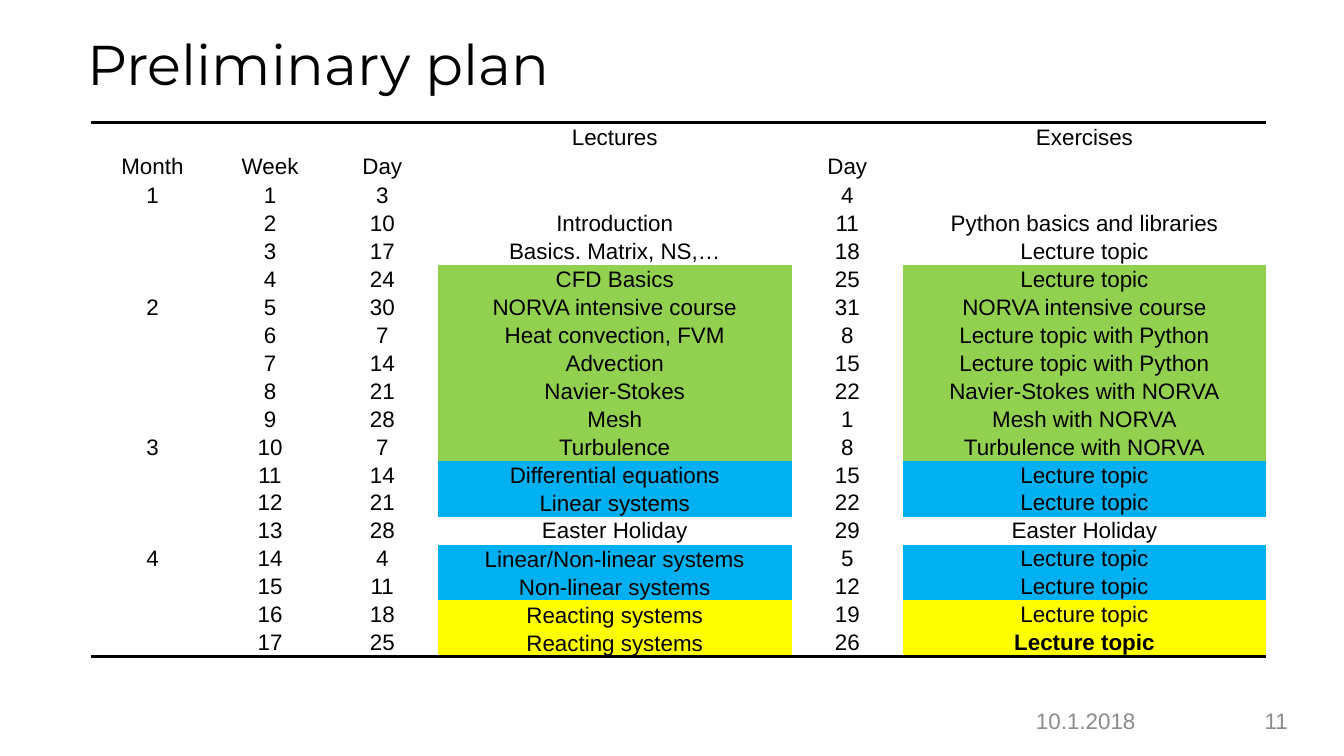
from lxml.etree import SubElement
from pptx import Presentation
from pptx.dml.color import RGBColor
from pptx.enum.text import MSO_ANCHOR, PP_ALIGN
from pptx.oxml import parse_xml
from pptx.oxml.ns import nsdecls, qn
from pptx.util import Inches, Pt

GREEN, BLUE, YELLOW, WHITE = "92D050", "00B0F0", "FFFF00", "FFFFFF"


def rgb(color):
    return RGBColor.from_string(color)


def put_text(tf, text, size=12, font="Arial", color="000000", bold=False,
             align=PP_ALIGN.LEFT):
    p = tf.paragraphs[0]
    p.alignment = align
    if not text:
        # An empty cell still needs the small size, or its row grows
        SubElement(p._p, qn("a:endParaRPr"), sz=str(size * 100))
        return
    r = p.add_run()
    r.text = text
    r.font.size = Pt(size)
    r.font.name = font
    r.font.bold = bold
    r.font.color.rgb = rgb(color)


# Widescreen slide, 16:9
prs = Presentation()
prs.slide_width = Inches(10)
prs.slide_height = Inches(10) * 9 // 16
s = prs.slides.add_slide(prs.slide_layouts[5])

# Title
title = s.shapes.title
title.left, title.top = Inches(0.55), Inches(0)
title.width, title.height = Inches(9), Inches(0.94)
title.text_frame.vertical_anchor = MSO_ANCHOR.MIDDLE
put_text(title.text_frame, "Preliminary plan", size=30, font="Montserrat")

# Date and slide number
for left, width, text, align in [(7.61, 1.15, "10.1.2018", PP_ALIGN.LEFT),
                                 (8.94, 0.74, "11", PP_ALIGN.RIGHT)]:
    tf = s.shapes.add_textbox(Inches(left), Inches(5.21),
                              Inches(width), Inches(0.3)).text_frame
    tf.word_wrap = True
    tf.vertical_anchor = MSO_ANCHOR.MIDDLE
    put_text(tf, text, color="8C8C8C", align=align)

# Plan: month, week, day, lecture, day, exercise, colour of the topic cells
topic = "Lecture topic"
plan = [
    ("", "", "", "Lectures", "", "Exercises", WHITE),
    ("Month", "Week", "Day", "", "Day", "", WHITE),
    ("1", "1", "3", "", "4", "", WHITE),
    ("", "2", "10", "Introduction", "11", "Python basics and libraries", WHITE),
    ("", "3", "17", "Basics. Matrix, NS,…", "18", topic, WHITE),
    ("", "4", "24", "CFD Basics", "25", topic, GREEN),
    ("2", "5", "30", "NORVA intensive course", "31", "NORVA intensive course", GREEN),
    ("", "6", "7", "Heat convection, FVM", "8", "Lecture topic with Python", GREEN),
    ("", "7", "14", "Advection", "15", "Lecture topic with Python", GREEN),
    ("", "8", "21", "Navier-Stokes", "22", "Navier-Stokes with NORVA", GREEN),
    ("", "9", "28", "Mesh", "1", "Mesh with NORVA", GREEN),
    ("3", "10", "7", "Turbulence", "8", "Turbulence with NORVA", GREEN),
    ("", "11", "14", "Differential equations", "15", topic, BLUE),
    ("", "12", "21", "Linear systems", "22", topic, BLUE),
    ("", "13", "28", "Easter Holiday", "29", "Easter Holiday", WHITE),
    ("4", "14", "4", "Linear/Non-linear systems", "5", topic, BLUE),
    ("", "15", "11", "Non-linear systems", "12", topic, BLUE),
    ("", "16", "18", "Reacting systems", "19", topic, YELLOW),
    ("", "17", "25", "Reacting systems", "26", topic, YELLOW),
]
widths = [0.91, 0.84, 0.83, 2.63, 0.83, 2.7]
last = len(plan) - 1
height, head_height = Inches(3.97), Inches(0.22)
row_height = (height - 2 * head_height) // (len(plan) - 2)

table = s.shapes.add_table(len(plan), len(widths), Inches(0.68), Inches(0.91),
                           Inches(sum(widths)), height).table
table.first_row = table.horz_banding = False
# Plain style without grid
style = table._tbl.tblPr.find(qn("a:tableStyleId"))
style.text = "{2D5ABB26-0587-4C30-8999-92F81FD0307C}"

for column, width in zip(table.columns, widths):
    column.width = Inches(width)

for i, (*texts, color) in enumerate(plan):
    table.rows[i].height = head_height if i < 2 else row_height
    for j, text in enumerate(texts):
        cell = table.cell(i, j)
        cell.margin_left = cell.margin_right = cell.margin_top = Pt(0.55)
        cell.margin_bottom = 0
        low = j == 3 and color in (BLUE, YELLOW)
        cell.vertical_anchor = MSO_ANCHOR.BOTTOM if low else MSO_ANCHOR.MIDDLE
        cell.fill.solid()
        cell.fill.fore_color.rgb = rgb(color if j in (3, 5) else WHITE)
        put_text(cell.text_frame, text, bold=(i == last and j == 5),
                 align=PP_ALIGN.CENTER)
        # Rules above the first row and below the last
        if i in (0, last):
            side = "lnT" if i == 0 else "lnB"
            cell._tc.get_or_add_tcPr().insert(0, parse_xml(
                f'<a:{side} {nsdecls("a")} w="{Pt(2)}"><a:solidFill>'
                f'<a:srgbClr val="000000"/></a:solidFill></a:{side}>'))

prs.save("out.pptx")
